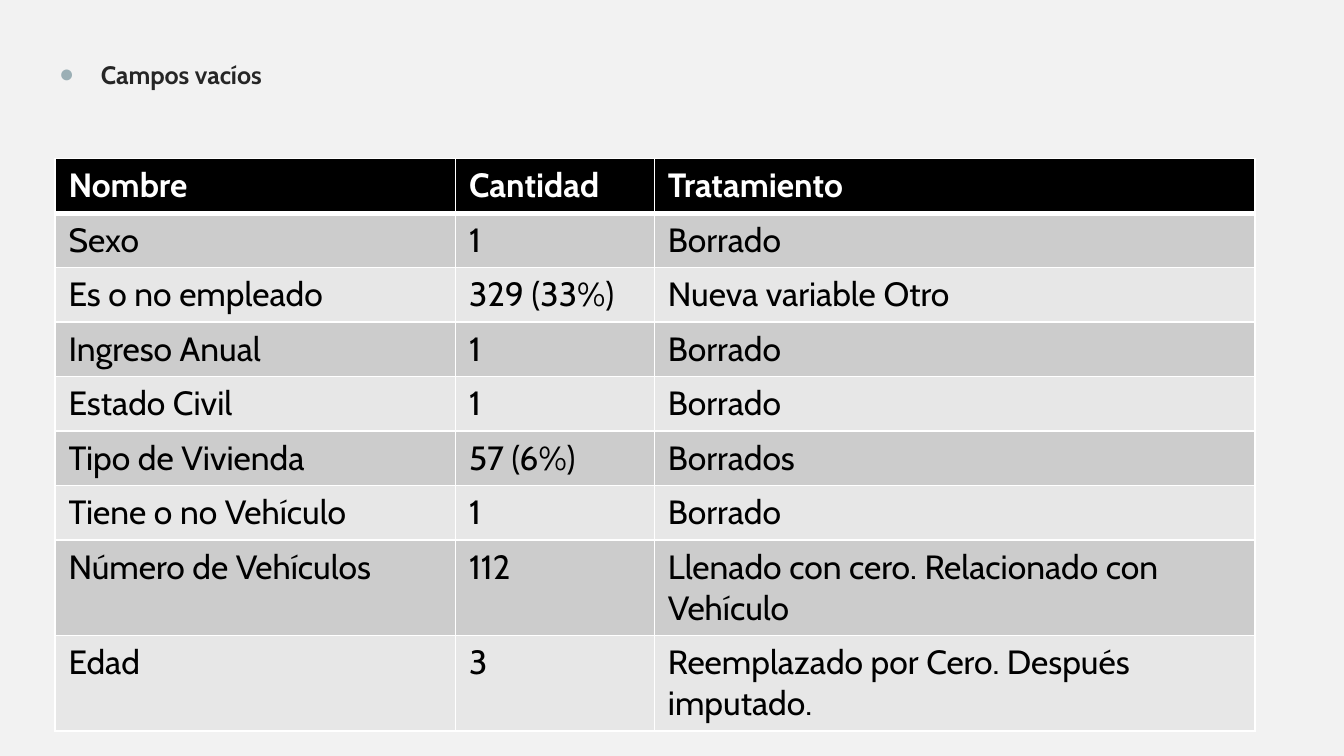
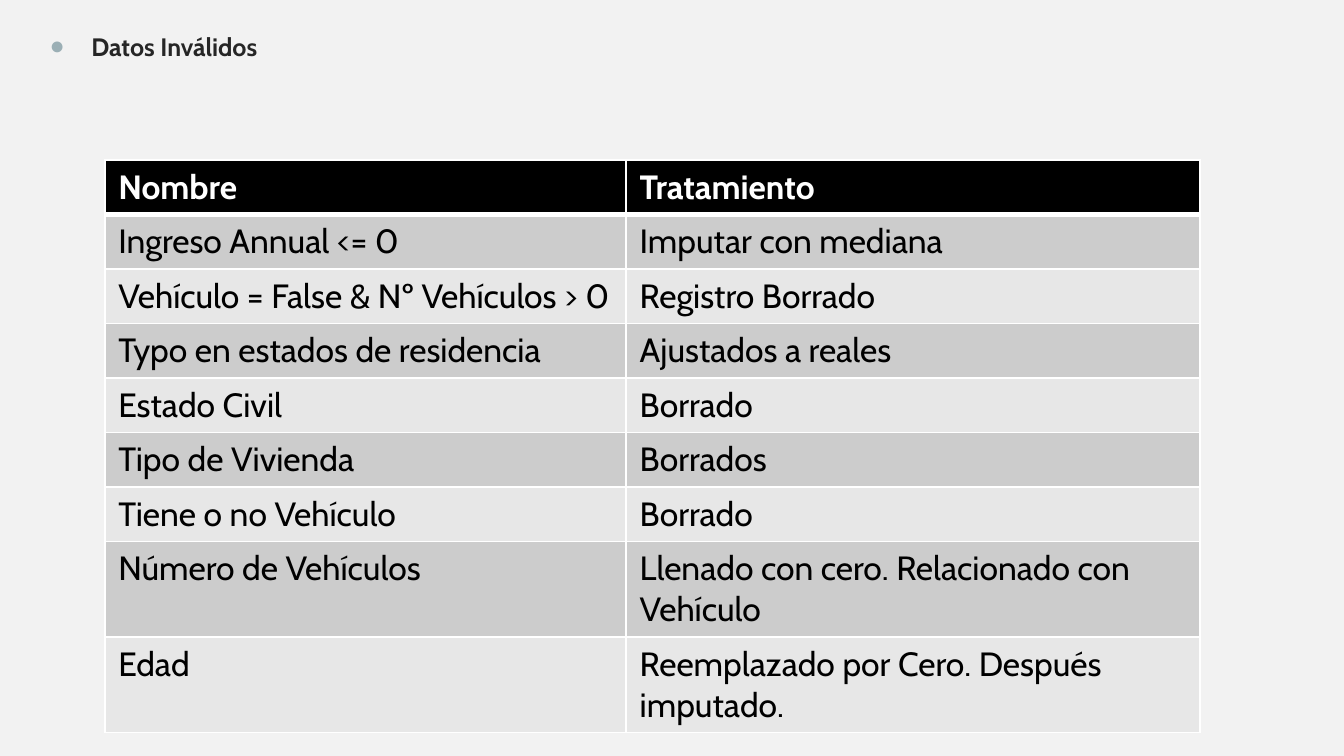
from dataclasses import dataclass

from lxml.etree import SubElement
from pptx import Presentation
from pptx.dml.color import RGBColor
from pptx.enum.text import MSO_ANCHOR, MSO_AUTO_SIZE
from pptx.oxml.ns import qn
from pptx.util import Inches, Pt


@dataclass(frozen=True)
class Theme:
    font: str = "Cabin"
    background: str = "F2F2F2"
    heading: str = "262626"
    bullet: str = "9BAFB5"
    header_fill: str = "000000"
    header_text: str = "FFFFFF"
    body_text: str = "000000"
    band_fills: tuple = ("CCCCCC", "E7E7E7")
    border: str = "FFFFFF"
    border_width: float = 1
    header_rule: float = 3
    heading_size: float = 13.5
    table_size: float = 18


THEME = Theme()
SLIDE_WIDTH = 10
SLIDE_HEIGHT = SLIDE_WIDTH * 9 / 16

SHARED_ROWS = [
    ("Estado Civil", "1", "Borrado"),
    ("Tipo de Vivienda", "57 (6%)", "Borrados"),
    ("Tiene o no Vehículo", "1", "Borrado"),
    ("Número de Vehículos", "112", "Llenado con cero. Relacionado con Vehículo"),
    ("Edad", "3", "Reemplazado por Cero. Después imputado."),
]
EMPTY_FIELDS = [
    ("Nombre", "Cantidad", "Tratamiento"),
    ("Sexo", "1", "Borrado"),
    ("Es o no empleado", "329 (33%)", "Nueva variable Otro"),
    ("Ingreso Anual", "1", "Borrado"),
    *SHARED_ROWS,
]
INVALID_DATA = [
    ("Nombre", "Tratamiento"),
    ("Ingreso Annual <= 0", "Imputar con mediana"),
    ("Vehículo = False & Nº Vehículos > 0", "Registro Borrado"),
    ("Typo en estados de residencia", "Ajustados a reales"),
    *((name, treatment) for name, _, treatment in SHARED_ROWS),
]


def apply_format(target, values):
    for name, value in values.items():
        setattr(target, name, value)


def write_text(paragraph, text, size, color, bold):
    run = paragraph.add_run()
    run.text = text
    apply_format(run.font, {"name": THEME.font, "size": Pt(size), "bold": bold})
    run.font.color.rgb = RGBColor.from_string(color)


def add_bullet(paragraph):
    properties = paragraph._p.get_or_add_pPr()
    properties.set("marL", str(Inches(0.31)))
    properties.set("indent", str(Inches(-0.31)))
    color = SubElement(properties, qn("a:buClr"))
    SubElement(color, qn("a:srgbClr"), val=THEME.bullet)
    SubElement(properties, qn("a:buChar"), char="●")


def place_heading(slide, text, box):
    body = slide.placeholders[1]
    sides = ("left", "top", "width", "height")
    apply_format(body, {side: Inches(value) for side, value in zip(sides, box)})
    frame = body.text_frame
    margins = ("margin_left", "margin_top", "margin_right", "margin_bottom")
    apply_format(frame, dict.fromkeys(margins, Inches(0.1)))
    apply_format(frame, {
        "word_wrap": True,
        "auto_size": MSO_AUTO_SIZE.NONE,
        "vertical_anchor": MSO_ANCHOR.TOP,
    })
    paragraph = frame.paragraphs[0]
    apply_format(paragraph, {"space_before": Pt(0), "space_after": Pt(0)})
    add_bullet(paragraph)
    write_text(paragraph, text, THEME.heading_size, THEME.heading, True)


def add_borders(cell, top, bottom):
    properties = cell._tc.get_or_add_tcPr()
    side = THEME.border_width
    widths = {"a:lnL": side, "a:lnR": side, "a:lnT": top, "a:lnB": bottom}
    for tag, width in widths.items():
        line = SubElement(properties, qn(tag), w=str(Pt(width)))
        fill = SubElement(line, qn("a:solidFill"))
        SubElement(fill, qn("a:srgbClr"), val=THEME.border)


def format_cell(cell, text, row_index):
    is_header = row_index == 0
    top = THEME.header_rule if row_index == 1 else THEME.border_width
    bottom = THEME.header_rule if is_header else THEME.border_width
    add_borders(cell, top, bottom)
    fill = THEME.header_fill if is_header else THEME.band_fills[(row_index - 1) % 2]
    color = THEME.header_text if is_header else THEME.body_text
    cell.fill.solid()
    cell.fill.fore_color.rgb = RGBColor.from_string(fill)
    write_text(cell.text_frame.paragraphs[0], text, THEME.table_size, color, is_header)


def place_table(slide, rows, left, top, column_widths):
    height = 3.65
    box = (left, top, sum(column_widths), height)
    frame = slide.shapes.add_table(len(rows), len(column_widths), *map(Inches, box))
    table = frame.table
    for column, width in zip(table.columns, column_widths):
        column.width = Inches(width)
    for row_index, values in enumerate(rows):
        table.rows[row_index].height = Inches(height / len(rows))
        for column_index, text in enumerate(values):
            format_cell(table.cell(row_index, column_index), text, row_index)


def add_table_slide(presentation, heading, heading_box, rows, left, top, column_widths):
    slide = presentation.slides.add_slide(presentation.slide_layouts[1])
    title = slide.shapes.title.element
    title.getparent().remove(title)
    background = slide.background.fill
    background.solid()
    background.fore_color.rgb = RGBColor.from_string(THEME.background)
    place_heading(slide, heading, heading_box)
    place_table(slide, rows, left, top, column_widths)


def main():
    presentation = Presentation()
    apply_format(presentation, {
        "slide_width": Inches(SLIDE_WIDTH),
        "slide_height": Inches(SLIDE_HEIGHT),
    })
    add_table_slide(presentation, "Campos vacíos", (0.34, 0.34, 9.32, 5.04),
                    EMPTY_FIELDS, 0.41, 1.18, (2.98, 1.48, 4.47))
    add_table_slide(presentation, "Datos Inválidos", (0.27, 0.13, 9.32, 0.62),
                    INVALID_DATA, 0.78, 1.19, (3.88, 4.27))
    presentation.save("out.pptx")


if __name__ == "__main__":
    main()
